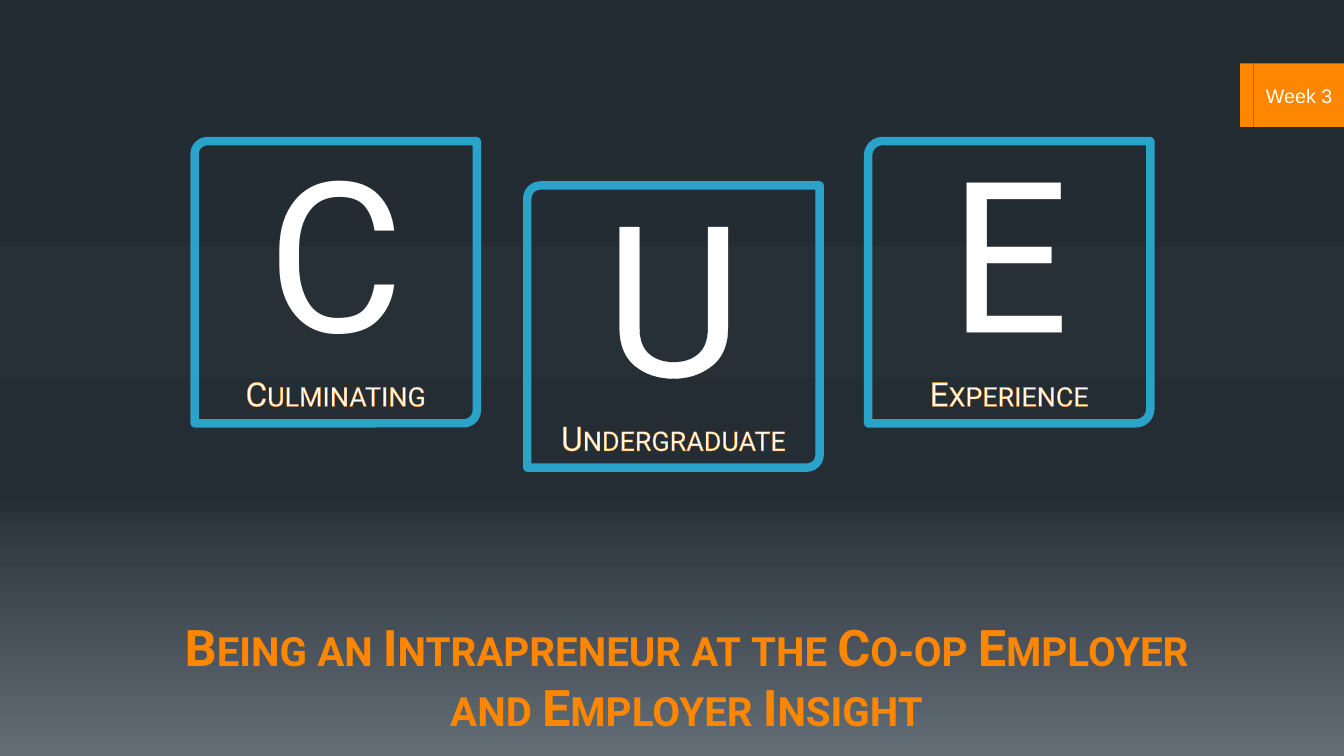
from copy import deepcopy

from lxml.etree import SubElement
from pptx import Presentation
from pptx.dml.color import RGBColor
from pptx.enum.shapes import MSO_SHAPE
from pptx.enum.text import MSO_ANCHOR, PP_ALIGN
from pptx.oxml import parse_xml
from pptx.oxml.ns import nsdecls, qn
from pptx.util import Inches, Pt

COLORS = {
    "night": "242C33",
    "slate": "273037",
    "mist": "636D76",
    "orange": "FF8600",
    "blue": "29A3C9",
    "white": "FFFFFF",
    "black": "000000",
}


def add_box(preset, left, top, width, height, fill=None):
    shape = slide.shapes.add_shape(
        preset, Inches(left), Inches(top), Inches(width), Inches(height))
    shape.shadow.inherit = False
    shape.line.fill.background()
    if fill:
        shape.fill.solid()
        shape.fill.fore_color.rgb = RGBColor.from_string(COLORS[fill])
    else:
        shape.fill.background()
    return shape


def write_line(paragraph, text, size, color, font="Roboto", small_caps=False, outline=None):
    """Fill a centred paragraph; outline is a (color, points) pair."""
    run = paragraph.add_run()
    run.text = text
    paragraph.alignment = PP_ALIGN.CENTER
    paragraph.font.name = font
    paragraph.font.size = Pt(size)
    paragraph.font.color.rgb = RGBColor.from_string(COLORS[color])
    properties = run._r.get_or_add_rPr()
    if small_caps:
        properties.set("cap", "small")
    if outline:
        outline_color, points = outline
        properties.insert(0, parse_xml(
            f'<a:ln {nsdecls("a")} w="{Pt(points)}"><a:solidFill>'
            f'<a:srgbClr val="{COLORS[outline_color]}"/></a:solidFill></a:ln>'))


presentation = Presentation()
presentation.slide_width = Inches(13.33)
presentation.slide_height = Inches(7.5)
slide = presentation.slides.add_slide(presentation.slide_layouts[6])

# Background: dark for two thirds, then fading to grey
background = slide.background.fill
background.gradient()
background.gradient_angle = 270
stop_list = background.gradient_stops[0]._gs.getparent()
stop_list.insert(1, deepcopy(stop_list[0]))
for stop, position, color in zip(
        background.gradient_stops, (0, 0.65, 1), ("night", "slate", "mist")):
    stop.position = position
    stop.color.rgb = RGBColor.from_string(COLORS[color])

# Week tag
add_box(MSO_SHAPE.RECTANGLE, 12.3, 0.63, 0.13, 0.63, "orange")
week_tag = add_box(MSO_SHAPE.RECTANGLE, 12.43, 0.63, 0.91, 0.63, "orange")
week_tag.text_frame.vertical_anchor = MSO_ANCHOR.MIDDLE
write_line(week_tag.text_frame.paragraphs[0], "Week 3", 14, "white", font="Arial")

# Faint band across the middle
band = add_box(MSO_SHAPE.RECTANGLE, 0, 3.75, 13.33, 1.33, "black")
band_color = band.fill._xPr.find(qn("a:solidFill"))[0]
SubElement(band_color, qn("a:alpha")).set("val", "5000")

# Letter tiles
tiles = [
    ("C", "Culminating", 1.93, 1.4, 2.8, 0.046, None),
    ("U", "Undergraduate", 5.23, 1.84, 2.9, 0.046, ("white", 1.45)),
    ("E", "Experience", 8.61, 1.4, 2.8, 0.051, ("white", 1.45)),
]
for letter, word, left, top, width, rounding, letter_outline in tiles:
    tile = add_box(MSO_SHAPE.ROUND_2_DIAG_RECTANGLE, left, top, width, 2.8)
    tile.adjustments[0] = rounding
    tile.adjustments[1] = 0
    tile.line.color.rgb = RGBColor.from_string(COLORS["blue"])
    tile.line.width = Pt(6)
    frame = tile.text_frame
    frame.vertical_anchor = MSO_ANCHOR.MIDDLE
    write_line(frame.paragraphs[0], letter, 150, "white", outline=letter_outline)
    write_line(frame.add_paragraph(), word, 24, "white",
               small_caps=True, outline=("orange", 0.25))
    for paragraph in frame.paragraphs:
        paragraph.line_spacing = 0.9

# Title
title = slide.shapes.add_textbox(Inches(0.56), Inches(6.06), Inches(12.5), Inches(1.31))
title.text_frame.word_wrap = True
title_lines = ["Being an Intrapreneur at the Co-op Employer", "and Employer Insight"]
for index, text in enumerate(title_lines):
    paragraph = title.text_frame.add_paragraph() if index else title.text_frame.paragraphs[0]
    write_line(paragraph, text, 36, "orange", small_caps=True)
    paragraph.font.bold = True

presentation.save("out.pptx")
